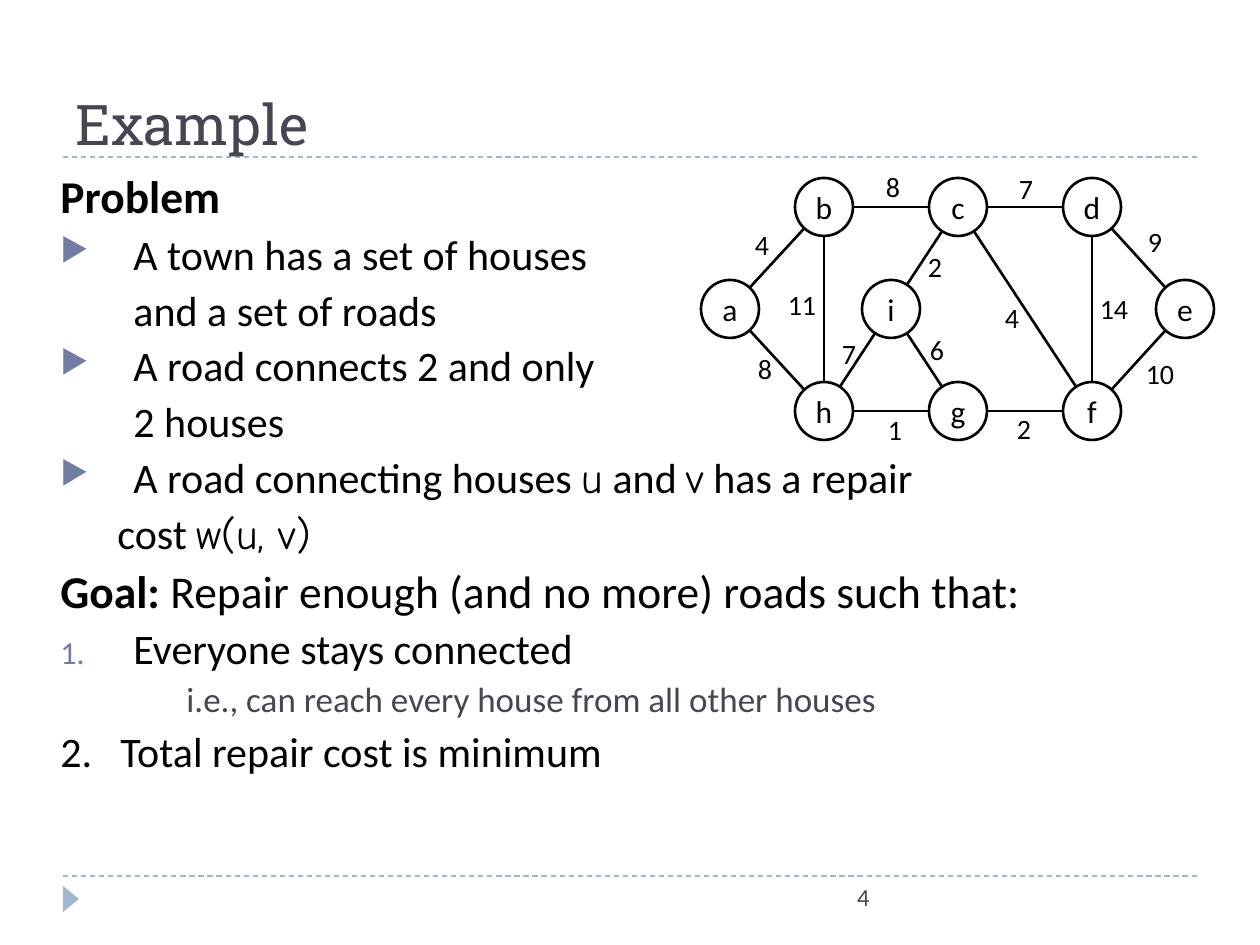
from math import hypot
from pptx import Presentation
from pptx.dml.color import RGBColor
from pptx.enum.dml import MSO_LINE
from pptx.enum.shapes import MSO_CONNECTOR, MSO_SHAPE
from pptx.enum.text import MSO_ANCHOR, PP_ALIGN
from pptx.oxml.ns import qn
from pptx.util import Pt
from lxml.etree import SubElement

BLACK, GRAY, BLUE, MARK = "000000", "464653", "9FB8CD", "727CA3"
SANS, SLAB, HAND = "Calibri", "Roboto Slab", "Comic Neue"
RAD = 29

NODES = {
    "a": (730, 309), "b": (824, 207), "c": (958, 207),
    "d": (1092, 207), "e": (1185, 309), "f": (1092, 411),
    "g": (958, 411), "h": (824, 411), "i": (891, 309),
}
EDGES = [
    ("ab", "4", 762, 244), ("bc", "8", 893, 186), ("cd", "7", 1026, 188),
    ("ah", "8", 765, 368), ("bh", "11", 802, 304), ("hg", "1", 895, 429),
    ("gf", "2", 1024, 428), ("hi", "7", 849, 353), ("ci", "2", 935, 266),
    ("cf", "4", 1012, 317), ("df", "14", 1114, 308), ("de", "9", 1155, 241),
    ("ef", "10", 1160, 373), ("ig", "6", 937, 349),
]

HEAD = dict(size=26)
POINT = dict(left=73, first=-73, mark="▶")
NEXT = dict(left=73)
BODY = [
    ([("Problem", dict(bold=True))], HEAD),
    (["A town has a set of houses"], POINT),
    (["and a set of roads"], NEXT),
    (["A road connects 2 and only"], POINT),
    (["2 houses"], NEXT),
    (["A road connecting houses ", ("u", dict(font=HAND)), " and ",
      ("v", dict(font=HAND)), " has a repair"], POINT),
    (["cost ", ("w(u, v)", dict(font=HAND))], dict(left=57)),
    ([("Goal: ", dict(bold=True)),
      "Repair enough (and no more) roads such that:"], HEAD),
    (["Everyone stays connected"], dict(left=73, first=-73, mark="1.")),
    (["i.e., can reach every house from all other houses"],
     dict(left=126, size=20, color=GRAY, before=5)),
    (["2.\tTotal repair cost is minimum"], dict(left=60, first=-60)),
]


def px(num):
    return round(num * 914400 / 126)


def rgb(code):
    return RGBColor.from_string(code)


def write(para, text, size=24, font=SANS, color=BLACK, bold=False):
    run = para.add_run()
    run.text = text
    run.font.size = Pt(size)
    run.font.name = font
    run.font.bold = bold
    run.font.color.rgb = rgb(color)


def box(home, x, y, w, h, wrap=True):
    frame = home.add_textbox(px(x), px(y), px(w), px(h)).text_frame
    frame.word_wrap = wrap
    return frame


def line(home, x1, y1, x2, y2, color=BLACK, width=1.5, dash=None):
    link = home.add_connector(MSO_CONNECTOR.STRAIGHT, px(x1), px(y1), px(x2), px(y2))
    link.line.color.rgb = rgb(color)
    link.line.width = Pt(width)
    if dash:
        link.line.dash_style = dash
    SubElement(link._element.spPr, qn("a:effectLst"))


def indent(para, left, first, mark):
    props = para._p.get_or_add_pPr()
    props.set("marL", str(px(left)))
    props.set("indent", str(px(first)))
    if not mark:
        SubElement(props, qn("a:buNone"))
        return
    tint = SubElement(props, qn("a:buClr"))
    SubElement(tint, qn("a:srgbClr")).set("val", MARK)
    SubElement(props, qn("a:buSzPct")).set("val", "76000")
    if mark == "1.":
        SubElement(props, qn("a:buAutoNum")).set("type", "arabicPeriod")
    else:
        SubElement(props, qn("a:buChar")).set("char", mark)


def fill_body(frame):
    for num, (runs, look) in enumerate(BODY):
        look = dict(look)
        para = frame.add_paragraph() if num else frame.paragraphs[0]
        para.line_spacing = 0.9
        gap = look.pop("before", 6)
        para.space_before = Pt(gap if num else 0)
        indent(para, look.pop("left", 0), look.pop("first", 0), look.pop("mark", None))
        for run in runs:
            text, extra = (run, {}) if isinstance(run, str) else run
            write(para, text, **{**look, **extra})


def draw_graph(home):
    for name, (x, y) in NODES.items():
        node = home.add_shape(MSO_SHAPE.OVAL, px(x - RAD), px(y - RAD),
                              px(2 * RAD), px(2 * RAD))
        node.shadow.inherit = False
        node.fill.background()
        node.line.color.rgb = rgb(BLACK)
        node.line.width = Pt(1.5)
        frame = node.text_frame
        frame.word_wrap = False
        frame.vertical_anchor = MSO_ANCHOR.MIDDLE
        para = frame.paragraphs[0]
        para.alignment = PP_ALIGN.CENTER
        write(para, name, size=18)
    for (start, end), cost, x, y in EDGES:
        (x1, y1), (x2, y2) = NODES[start], NODES[end]
        part = RAD / hypot(x2 - x1, y2 - y1)
        dx, dy = (x2 - x1) * part, (y2 - y1) * part
        line(home, x1 + dx, y1 + dy, x2 - dx, y2 - dy)
        wide = 40 if len(cost) == 1 else 56
        para = box(home, x - wide / 2, y - 23, wide, 46, wrap=False).paragraphs[0]
        para.alignment = PP_ALIGN.CENTER
        write(para, cost, size=16)


def main():
    deck = Presentation()
    deck.slide_width, deck.slide_height = px(1260), px(945)
    home = deck.slides.add_slide(deck.slide_layouts[6]).shapes

    for y in (876, 157):
        line(home, 63, y, 1197, y, BLUE, 0.75, MSO_LINE.DASH)
    arrow = home.add_shape(MSO_SHAPE.ISOSCELES_TRIANGLE, px(58), px(891), px(26), px(16))
    arrow.rotation = 90
    arrow.shadow.inherit = False
    arrow.fill.solid()
    arrow.fill.fore_color.rgb = rgb(BLUE)
    arrow.line.fill.background()

    page = box(home, 400, 876, 482, 50).paragraphs[0]
    page.alignment = PP_ALIGN.RIGHT
    write(page, "4", size=14, color=GRAY)

    title = box(home, 63, 21, 1134, 136)
    title.vertical_anchor = MSO_ANCHOR.BOTTOM
    title.margin_bottom = 0
    write(title.paragraphs[0], "Example", size=32, font=SLAB, color=GRAY)

    fill_body(box(home, 48, 168, 1166, 699))
    draw_graph(home.add_group_shape().shapes)
    deck.save("out.pptx")


if __name__ == "__main__":
    main()
